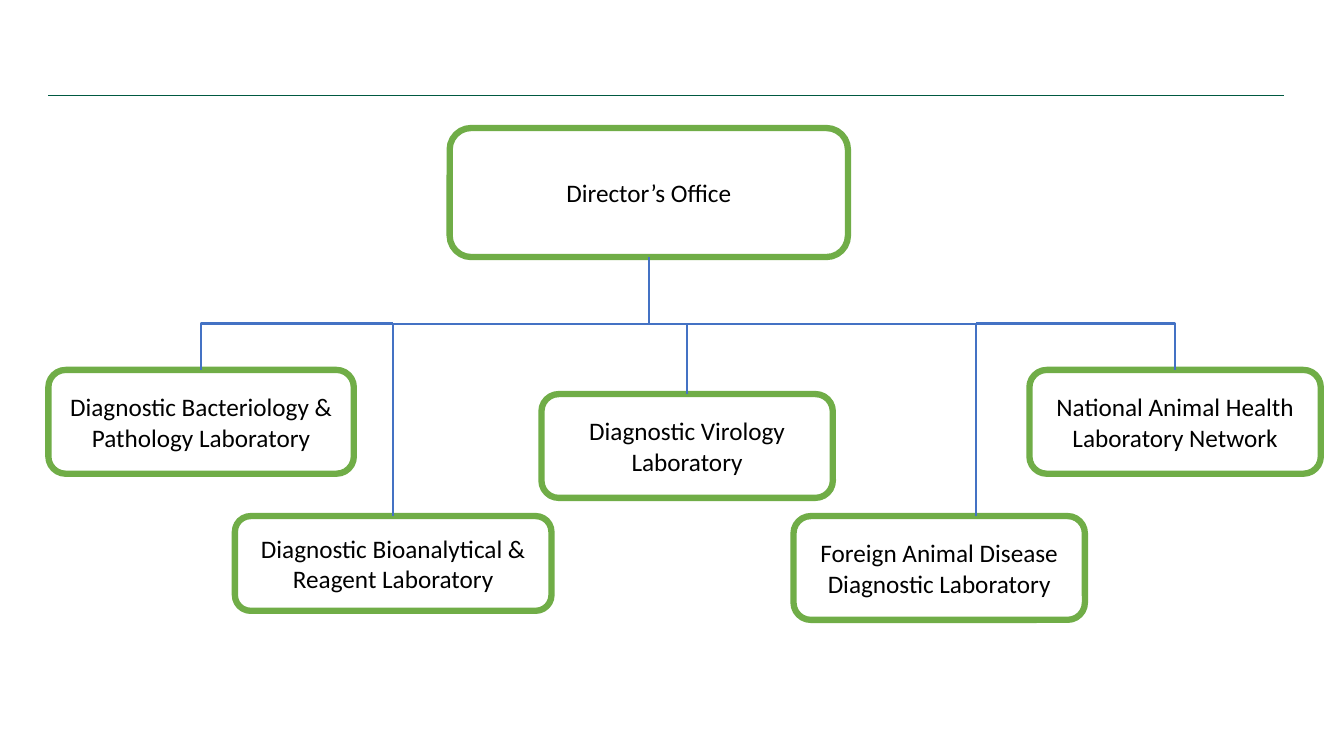
import dataclasses

import pptx
import pptx.dml.color
import pptx.enum.shapes
import pptx.enum.text
import pptx.oxml
import pptx.oxml.ns
import pptx.util

Inches = pptx.util.Inches
Pt = pptx.util.Pt
RGB = pptx.dml.color.RGBColor.from_string
CONNECTOR = pptx.enum.shapes.MSO_CONNECTOR


@dataclasses.dataclass(frozen=True)
class Theme:
    rule: str = "005941"
    border: str = "70AD47"
    branch: str = "4472C4"
    fill: str = "FFFFFF"
    text: str = "000000"
    font: str = "Calibri"
    size: float = 18
    rule_width: float = 0.5
    border_width: float = 4.5
    branch_width: float = 1.5


THEME = Theme()
BUS_Y = Inches(3.21)
FOREIGN_DROP_X = Inches(9.68)
UNITS = {
    "director": ("Director’s Office", (4.46, 1.27, 3.95, 1.28)),
    "bacteriology": ("Diagnostic Bacteriology & Pathology Laboratory",
                     (0.48, 3.67, 3.03, 1.03)),
    "bioanalytical": ("Diagnostic Bioanalytical & Reagent Laboratory",
                      (2.33, 5.12, 3.14, 0.94)),
    "virology": ("Diagnostic Virology Laboratory", (5.37, 3.91, 2.89, 1.03)),
    "foreign": ("Foreign Animal Disease Diagnostic Laboratory",
                (7.87, 5.12, 2.89, 1.03)),
    "network": ("National Animal Health Laboratory Network",
                (10.21, 3.67, 2.89, 1.03)),
}


def add_line(slide, kind, start, end, color, width):
    line = slide.shapes.add_connector(kind, *start, *end)
    line.line.color.rgb = RGB(color)
    line.line.width = Pt(width)
    line._element.spPr.append(pptx.oxml.parse_xml(
        f"<a:effectLst {pptx.oxml.ns.nsdecls('a')}/>"))
    return line


def add_unit(slide, name, box):
    unit = slide.shapes.add_shape(
        pptx.enum.shapes.MSO_SHAPE.ROUNDED_RECTANGLE, *map(Inches, box))
    unit.shadow.inherit = False
    unit.fill.solid()
    unit.fill.fore_color.rgb = RGB(THEME.fill)
    unit.line.color.rgb = RGB(THEME.border)
    unit.line.width = Pt(THEME.border_width)
    frame = unit.text_frame
    frame.word_wrap = True
    frame.vertical_anchor = pptx.enum.text.MSO_ANCHOR.MIDDLE
    label = frame.paragraphs[0]
    label.text = name
    label.alignment = pptx.enum.text.PP_ALIGN.CENTER
    for attribute, value in {"name": THEME.font, "size": Pt(THEME.size)}.items():
        setattr(label.font, attribute, value)
    label.font.color.rgb = RGB(THEME.text)
    return unit


def top_middle(unit):
    return unit.left + unit.width // 2, unit.top


def add_elbow(slide, start, end, bend=None):
    """Run sideways, then down; a bend places the turn as a share of the width."""
    elbow = add_line(slide, CONNECTOR.ELBOW, start, end,
                     THEME.branch, THEME.branch_width)
    geometry = elbow._element.spPr.prstGeom
    if bend is None:
        geometry.set("prst", "bentConnector2")
    else:
        guide = pptx.oxml.parse_xml(
            f'<a:gd {pptx.oxml.ns.nsdecls("a")} name="adj1" '
            f'fmla="val {round(bend * 100000)}"/>')
        geometry.get_or_add_avLst().append(guide)
    return elbow


def add_upright_elbow(slide, start, end, bend):
    """Run down, sideways and down again: an elbow turned by 270 degrees."""
    (start_x, start_y), (end_x, end_y) = start, end
    middle_x, middle_y = (start_x + end_x) // 2, (start_y + end_y) // 2
    half_drop, half_shift = (end_y - start_y) // 2, (end_x - start_x) // 2
    elbow = add_elbow(slide,
                      (middle_x + half_drop, middle_y - half_shift),
                      (middle_x - half_drop, middle_y + half_shift), bend)
    elbow._element.spPr.xfrm.set("rot", str(270 * 60000))


def add_branches(slide, units):
    director = units["director"]
    director_x = top_middle(director)[0]
    virology_top = top_middle(units["virology"])
    bioanalytical_top = top_middle(units["bioanalytical"])
    add_upright_elbow(slide, (director_x, director.top + director.height),
                      virology_top, 0.49)
    add_elbow(slide, (virology_top[0], BUS_Y),
              (FOREIGN_DROP_X, units["foreign"].top), 1)
    add_elbow(slide, (FOREIGN_DROP_X, BUS_Y), top_middle(units["network"]))
    add_elbow(slide, (director_x, BUS_Y), bioanalytical_top)
    add_elbow(slide, (bioanalytical_top[0], BUS_Y),
              top_middle(units["bacteriology"]))


def add_organization_slide(deck):
    slide = deck.slides.add_slide(deck.slide_layouts[6])
    add_line(slide, CONNECTOR.STRAIGHT, (Inches(0.48), Inches(0.95)),
             (Inches(12.73), Inches(0.95)), THEME.rule, THEME.rule_width)
    units = {key: add_unit(slide, name, box)
             for key, (name, box) in UNITS.items()}
    add_branches(slide, units)


def main():
    deck = pptx.Presentation()
    deck.slide_width = Inches(13.33)
    deck.slide_height = Inches(7.5)
    add_organization_slide(deck)
    deck.save("out.pptx")


if __name__ == "__main__":
    main()
